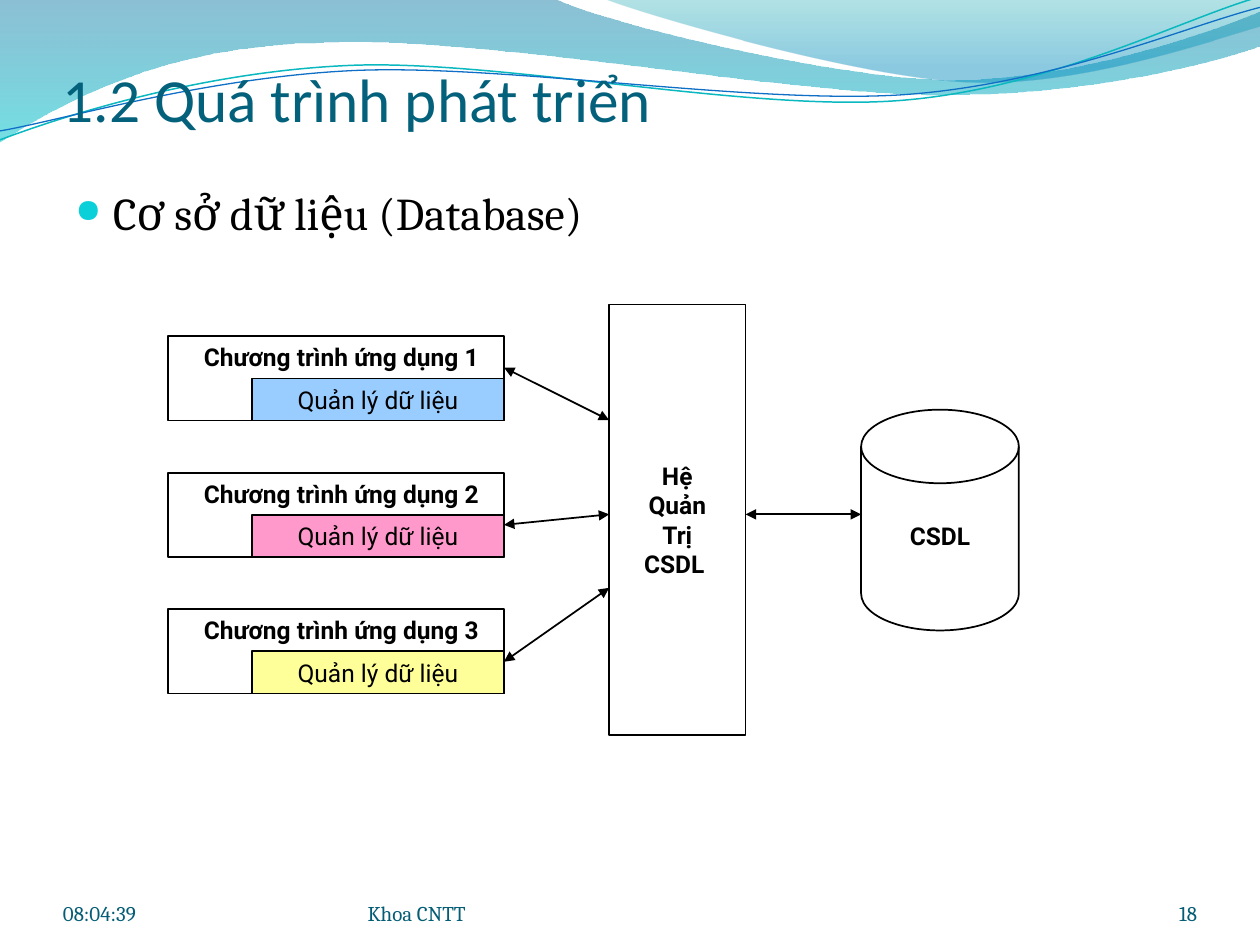
import pptx
import pptx.dml.color
import pptx.enum.shapes
import pptx.enum.text
import pptx.oxml.ns
import pptx.util
from lxml import etree

Cm = pptx.util.Cm
Pt = pptx.util.Pt
RGB = pptx.dml.color.RGBColor.from_string
qn = pptx.oxml.ns.qn
SHAPES = pptx.enum.shapes.MSO_SHAPE
ALIGN = pptx.enum.text.PP_ALIGN
ANCHOR = pptx.enum.text.MSO_ANCHOR

COLORS = {
    "black": "000000", "title": "04617B", "footer": "045D75", "bullet": "0BD0D9",
    "deep blue": "0074A1", "cyan": "00C6CF", "teal": "00A1A9", "sea blue": "008BBF",
    "teal line": "0AB8BF", "blue line": "0F6FC6",
    "blue box": "99CCFF", "pink box": "FF99CC", "yellow box": "FFFF99",
}
TITLE = {"name": "Calibri", "size": Pt(35)}
BODY = {"name": "Cambria", "size": Pt(26)}
FOOTER = {"name": "Cambria", "size": Pt(12)}
LABEL = {"name": "Roboto", "size": Pt(14)}
BOLD_LABEL = {**LABEL, "bold": True}
NO_MARGINS = {"margin_left": 0, "margin_top": 0, "margin_right": 0, "margin_bottom": 0}

presentation = pptx.Presentation()
presentation.slide_width = Cm(25.4)
presentation.slide_height = Cm(19.05)
slide = presentation.slides.add_slide(presentation.slide_layouts[6])
shapes = slide.shapes


def write(shape, lines, font, color="black", align=ALIGN.CENTER, **frame_format):
    """Fill a shape with one paragraph per line, all in the same format."""
    frame = shape.text_frame
    for name, value in {"word_wrap": True, **frame_format}.items():
        setattr(frame, name, value)
    frame.text = "\n".join(lines)
    for paragraph in frame.paragraphs:
        paragraph.alignment = align
        for run in paragraph.runs:
            for name, value in font.items():
                setattr(run.font, name, value)
            run.font.color.rgb = RGB(COLORS[color])


def add_outlined(kind, left, top, width, height, fill=None):
    """Add a preset shape with a thin black outline and an optional fill."""
    shape = shapes.add_shape(kind, Cm(left), Cm(top), Cm(width), Cm(height))
    shape.shadow.inherit = False
    shape.line.color.rgb = RGB(COLORS["black"])
    shape.line.width = Pt(1)
    if fill:
        shape.fill.solid()
        shape.fill.fore_color.rgb = RGB(COLORS[fill])
    else:
        shape.fill.background()
    return shape


# Header waves: two numbers make a straight edge, six a cubic curve.
# Gradient stops are colour, position and opacity.
waves = [
    {"start": (0, -0.03),
     "parts": [(11.18, -0.03),
               (12.09, 0.43, 16.87, 1.6, 19.25, 1.6),
               (21.67, 1.6, 24.33, 0.66, 25.4, 0.23),
               (25.43, 0.91),
               (24.97, 1.12, 22.1, 1.93, 18.95, 1.91),
               (15.8, 1.91, 9.7, 0.71, 6.53, 0.86),
               (3.28, 0.89, 1.17, 2.11, -0.03, 2.87),
               (0, -0.03)],
     "stops": [("deep blue", 0, 45), ("cyan", 1, 55)]},
    {"start": (12.17, -0.03),
     "parts": [(12.93, 0.28, 17.32, 1.57, 19.53, 1.65),
               (21.74, 1.75, 24.41, 0.81, 25.4, 0.53),
               (25.4, 0),
               (12.17, -0.03)],
     "stops": [("teal", 0, 30), ("sea blue", 0.8, 45)]},
    {"start": (0, 2.82),
     "parts": [(1.22, 2.36, 4.01, 1.45, 7.04, 1.32),
               (10.03, 1.19, 15.06, 2.26, 18.11, 2.03),
               (21.16, 1.8, 23.83, 0.38, 25.35, -0.05)],
     "line": ("teal line", 0.85)},
    {"start": (0, 2.64),
     "parts": [(1.19, 2.44, 4.17, 1.55, 7.19, 1.42),
               (10.24, 1.3, 15.16, 2.11, 18.21, 1.91),
               (21.23, 1.7, 23.9, 0.53, 25.4, 0.15)],
     "line": ("blue line", 0.75)},
]
for wave in waves:
    start_x, start_y = wave["start"]
    builder = shapes.build_freeform(Cm(start_x), Cm(start_y))
    builder.add_line_segments([(Cm(part[-2]), Cm(part[-1])) for part in wave["parts"]],
                              close="stops" in wave)
    shape = builder.convert_to_shape()
    shape.shadow.inherit = False

    # Turn the segments that have control points into curves
    segments = list(shape.element.spPr.iter(qn("a:lnTo")))
    for segment, part in zip(segments, wave["parts"]):
        if len(part) == 6:
            curve = etree.Element(qn("a:cubicBezTo"))
            for x, y in zip(part[::2], part[1::2]):
                etree.SubElement(curve, qn("a:pt"), x=str(Cm(x) - shape.left),
                                 y=str(Cm(y) - shape.top))
            segment.getparent().replace(segment, curve)

    if "stops" in wave:
        shape.line.fill.background()
        shape.fill.gradient()
        shape.fill.gradient_angle = 270
        for stop, (color, position, opacity) in zip(shape.fill.gradient_stops, wave["stops"]):
            stop.color.rgb = RGB(COLORS[color])
            stop.position = position
        for element, (_, _, opacity) in zip(shape.element.spPr.iter(qn("a:srgbClr")), wave["stops"]):
            etree.SubElement(element, qn("a:alpha"), val=str(opacity * 1000))
    else:
        color, width = wave["line"]
        shape.fill.background()
        shape.line.color.rgb = RGB(COLORS[color])
        shape.line.width = Pt(width)

# Title and bullet
title = shapes.add_textbox(Cm(1.27), Cm(0.99), Cm(22.86), Cm(1.73))
write(title, ["1.2 Quá trình phát triển"], TITLE, "title", ALIGN.LEFT,
      vertical_anchor=ANCHOR.BOTTOM, margin_left=0, margin_right=0, margin_bottom=0)

body = shapes.add_textbox(Cm(1.27), Cm(3.61), Cm(22.86), Cm(13.44))
write(body, ["Cơ sở dữ liệu (Database)"], BODY, align=ALIGN.LEFT)
properties = body.text_frame.paragraphs[0]._p.get_or_add_pPr()
properties.set("marL", str(Cm(0.76)))
properties.set("indent", str(-Cm(0.76)))
bullet_color = etree.SubElement(properties, qn("a:buClr"))
etree.SubElement(bullet_color, qn("a:srgbClr"), val=COLORS["bullet"])
etree.SubElement(properties, qn("a:buSzPct"), val="72000")
etree.SubElement(properties, qn("a:buChar"), char="●")

# Database management system
system = add_outlined(SHAPES.RECTANGLE, 12.28, 6.14, 2.75, 8.68)
write(system, ["Hệ", "Quản", "Trị", "CSDL "], BOLD_LABEL,
      vertical_anchor=ANCHOR.MIDDLE, word_wrap=False)

# Application programs, each with its data management part
program_left, first_top, pitch, half_height = 3.39, 6.78, 2.75, 0.85
for index, fill in enumerate(["blue box", "pink box", "yellow box"]):
    top = first_top + index * pitch
    add_outlined(SHAPES.RECTANGLE, program_left, top, 6.77, 2 * half_height)
    label = shapes.add_textbox(Cm(program_left), Cm(top), Cm(6.99), Cm(half_height))
    write(label, [f"Chương trình ứng dụng {index + 1}"], BOLD_LABEL)
    manager = add_outlined(SHAPES.RECTANGLE, 5.08, top + half_height, 5.08, half_height, fill)
    write(manager, ["Quản lý dữ liệu"], LABEL,
          vertical_anchor=ANCHOR.MIDDLE, word_wrap=False)

# Double-headed arrows
for x1, y1, x2, y2 in [(10.16, 7.41, 12.28, 8.47), (10.16, 13.34, 12.28, 11.85),
                       (10.16, 10.58, 12.28, 10.37), (15.03, 10.37, 17.36, 10.37)]:
    arrow = shapes.add_connector(pptx.enum.shapes.MSO_CONNECTOR.STRAIGHT,
                                 Cm(x1), Cm(y1), Cm(x2), Cm(y2))
    arrow.line.color.rgb = RGB(COLORS["black"])
    arrow.line.width = Pt(1)
    for end in ("a:headEnd", "a:tailEnd"):
        etree.SubElement(arrow.line._get_or_add_ln(), qn(end), type="triangle")
    etree.SubElement(arrow._element.spPr, qn("a:effectLst"))

# Database
add_outlined(SHAPES.FLOWCHART_MAGNETIC_DISK, 17.36, 8.26, 3.18, 4.45)
database_label = shapes.add_textbox(Cm(17.36), Cm(10.37), Cm(3.18), Cm(0.85))
write(database_label, ["CSDL"], BOLD_LABEL)

# Footer
for left, width, text, align in [(22.02, 2.11, "18", ALIGN.RIGHT),
                                 (7.41, 9.31, "Khoa CNTT", ALIGN.LEFT),
                                 (1.27, 5.93, "08:04:39", ALIGN.LEFT)]:
    footer = shapes.add_textbox(Cm(left), Cm(17.65), Cm(width), Cm(1.01))
    write(footer, [text], FOOTER, "footer", align,
          vertical_anchor=ANCHOR.BOTTOM, **NO_MARGINS)

presentation.save("out.pptx")
